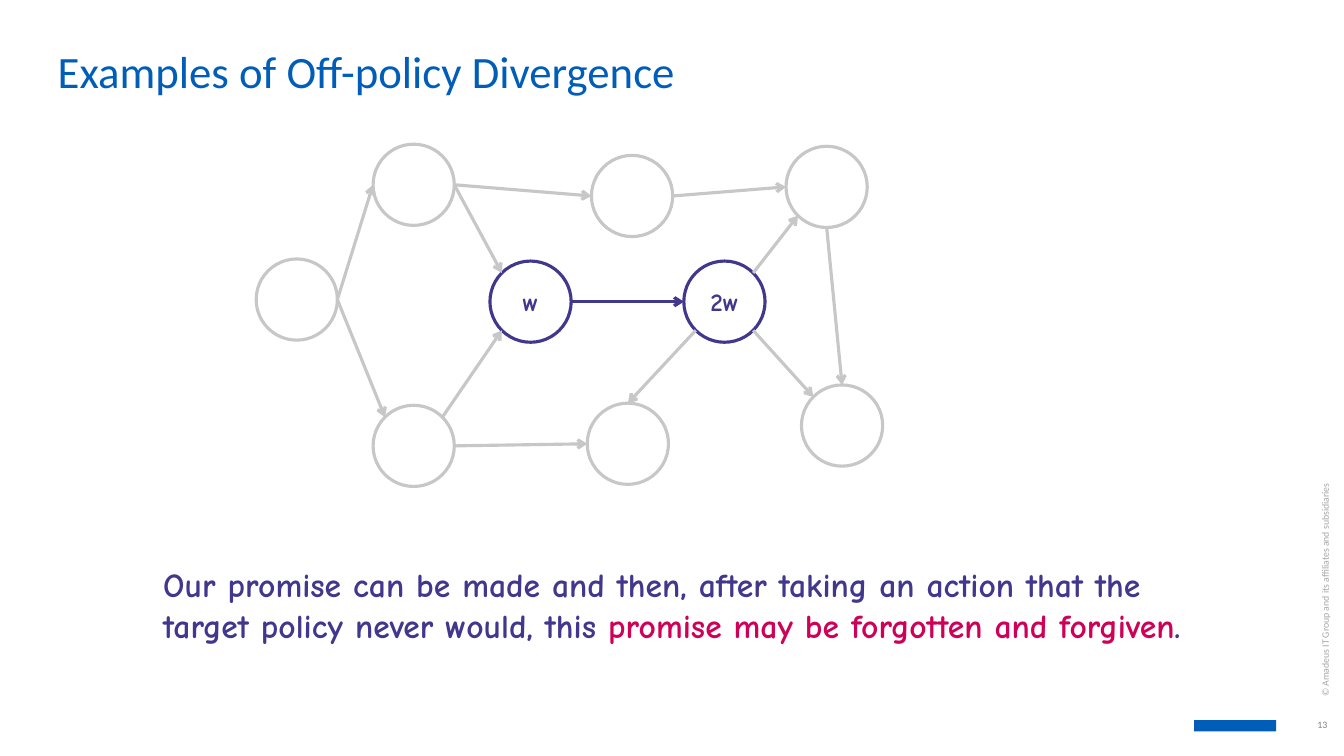
import math

from lxml import etree
from pptx import Presentation
from pptx import util as u
from pptx.dml.color import RGBColor
from pptx.enum import shapes, text
from pptx.oxml.ns import qn

BLUE, PURPLE, GREY, PINK = "005EB8", "41388D", "C7C7C7", "CE0058"
DIAMETER = 58
LINE_WIDTH = 2.25

# name: (left, top, label), relative to the diagram's box
STATES = {
    "start": (0, 82, ""),
    "upper left": (83.5, 0, ""),
    "lower left": (83.5, 186.5, ""),
    "w": (167, 83.5, "w"),
    "2w": (305.5, 83.5, "2w"),
    "upper middle": (239.5, 8, ""),
    "lower middle": (236.5, 185, ""),
    "upper right": (378.5, 1.5, ""),
    "lower right": (389.5, 172, ""),
}
# Angles on the circle, in degrees, clockwise from the right
RIGHT, LOWER_RIGHT, BOTTOM, LOWER_LEFT = 0, 45, 90, 135
LEFT, UPPER_LEFT, TOP, UPPER_RIGHT = 180, 225, 270, 315
TRANSITIONS = [
    ("start", RIGHT, "upper left", LEFT),
    ("start", RIGHT, "lower left", UPPER_LEFT),
    ("upper left", RIGHT, "upper middle", LEFT),
    ("upper left", RIGHT, "w", UPPER_LEFT),
    ("lower left", UPPER_RIGHT, "w", LOWER_LEFT),
    ("w", RIGHT, "2w", LEFT),
    ("upper middle", RIGHT, "upper right", LEFT),
    ("2w", LOWER_RIGHT, "lower right", UPPER_LEFT),
    ("2w", LOWER_LEFT, "lower middle", TOP),
    ("2w", UPPER_RIGHT, "upper right", LOWER_LEFT),
    ("lower left", RIGHT, "lower middle", LEFT),
    ("upper right", BOTTOM, "lower right", TOP),
]


def rgb(color):
    return RGBColor.from_string(color)


def points(*lengths):
    return [u.Pt(length) for length in lengths]


def write(shape, runs, font="Calibri", size=18, bold=False,
          align=text.PP_ALIGN.LEFT, anchor=text.MSO_ANCHOR.TOP,
          insets=(7.2, 3.6, 7.2, 3.6)):
    """Fill a shape with one paragraph of (wording, colour) runs."""
    frame = shape.text_frame
    frame.word_wrap = True
    frame.auto_size = text.MSO_AUTO_SIZE.NONE
    frame.vertical_anchor = anchor
    (frame.margin_left, frame.margin_top,
     frame.margin_right, frame.margin_bottom) = points(*insets)
    paragraph = frame.paragraphs[0]
    paragraph.alignment = align
    for wording, color in runs:
        run = paragraph.add_run()
        run.text = wording
        run.font.name = font
        run.font.size = u.Pt(size)
        run.font.bold = bold
        run.font.color.rgb = rgb(color)


def add_title(slide, left, top, width, height):
    title = slide.shapes.title
    title.left, title.top, title.width, title.height = points(left, top, width, height)
    write(title, [("Examples of Off-policy Divergence", BLUE)], size=32,
          insets=(7.2, 0, 7.2, 3.6))


def add_state(slide, left, top, label):
    circle = slide.shapes.add_shape(shapes.MSO_SHAPE.OVAL,
                                    *points(left, top, DIAMETER, DIAMETER))
    circle.shadow.inherit = False
    circle.fill.background()
    circle.line.color.rgb = rgb(PURPLE if label else GREY)
    circle.line.width = u.Pt(LINE_WIDTH)
    if label:
        write(circle, [(label, PURPLE)], font="Comic Neue", bold=True,
              align=text.PP_ALIGN.CENTER, anchor=text.MSO_ANCHOR.MIDDLE)


def rim_point(left, top, angle):
    radius = DIAMETER / 2
    return (left + radius + radius * math.cos(math.radians(angle)),
            top + radius + radius * math.sin(math.radians(angle)))


def add_arrow(slide, begin, end, color):
    arrow = slide.shapes.add_connector(shapes.MSO_CONNECTOR.STRAIGHT,
                                       *points(*begin, *end))
    arrow.line.color.rgb = rgb(color)
    arrow.line.width = u.Pt(LINE_WIDTH)
    etree.SubElement(arrow.line._get_or_add_ln(), qn("a:tailEnd"), type="arrow")
    etree.SubElement(arrow._element.spPr, qn("a:effectLst"))


def add_diagram(slide, left, top):
    corners = {}
    for name, (across, down, label) in STATES.items():
        corners[name] = (left + across, top + down)
        add_state(slide, *corners[name], label)
    for source, source_angle, target, target_angle in TRANSITIONS:
        color = PURPLE if (source, target) == ("w", "2w") else GREY
        add_arrow(slide, rim_point(*corners[source], source_angle),
                  rim_point(*corners[target], target_angle), color)


def add_message(slide, left, top, width, height):
    box = slide.shapes.add_textbox(*points(left, top, width, height))
    write(box, [
        ("Our promise can be made and then, after taking an action that the "
         "target policy never would, this ", PURPLE),
        ("promise may be forgotten and forgiven", PINK),
        (".", PURPLE),
    ], font="Comic Neue", size=24, bold=True)


def add_footer(slide, right, bottom):
    """Place the brand mark, page number and copyright line by the lower right corner."""
    mark = slide.shapes.add_shape(shapes.MSO_SHAPE.RECTANGLE,
                                  *points(right - 107, bottom - 25.5, 58.5, 8))
    mark.shadow.inherit = False
    mark.fill.solid()
    mark.fill.fore_color.rgb = rgb(BLUE)
    mark.line.fill.background()

    number = slide.shapes.add_textbox(*points(right - 25, bottom - 27.5, 13, 9.5))
    write(number, [("13", "808080")], size=7, align=text.PP_ALIGN.RIGHT,
          anchor=text.MSO_ANCHOR.BOTTOM, insets=(0, 0, 0, 0))

    rights = slide.shapes.add_textbox(*points(right - 133.5, bottom - 168, 243.5, 8))
    rights.rotation = 270
    write(rights, [("© Amadeus IT Group and its affiliates and subsidiaries", "A6A6A6")],
          size=7, anchor=text.MSO_ANCHOR.MIDDLE, insets=(0, 0, 0, 3.6))


def main():
    presentation = Presentation()
    presentation.slide_width, presentation.slide_height = points(960, 540)
    slide = presentation.slides.add_slide(presentation.slide_layouts[5])
    add_title(slide, 34, 31.5, 828, 38)
    add_footer(slide, 960, 540)
    add_diagram(slide, 183, 103)
    add_message(slide, 109.5, 399.5, 751.5, 65.5)
    presentation.save("out.pptx")


if __name__ == "__main__":
    main()
